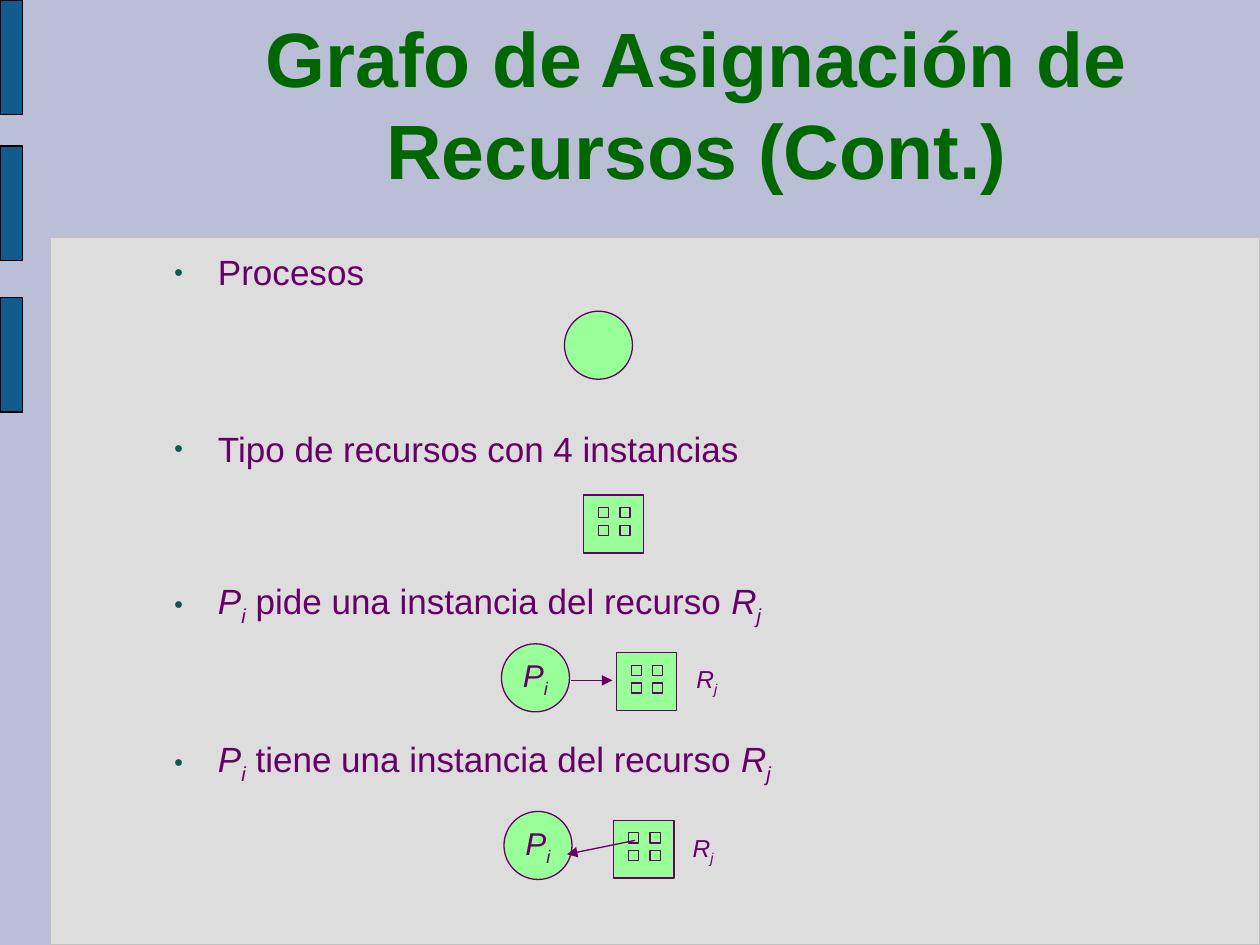
from dataclasses import dataclass

from lxml import etree
from pptx import Presentation
from pptx import util as u
from pptx.dml.color import RGBColor
from pptx.enum import shapes, text
from pptx.oxml.ns import qn


@dataclass(frozen=True)
class Theme:
    font: str = "Arial"
    background: str = "BABED6"
    panel: str = "DDDDDD"
    panel_line: str = "C0C0C0"
    bar: str = "125C8D"
    bar_line: str = "000000"
    title: str = "006600"
    ink: str = "660066"
    node: str = "99FF99"
    bullet: str = "0E594D"
    line: float = 0.75
    title_size: int = 44
    body_size: int = 20
    node_size: int = 18
    label_size: int = 14


THEME = Theme()
COLUMNS = 100
ROWS = 75
UNIT = u.Inches(10) // COLUMNS

PROCESS = (("P", "italic"), ("i", "sub"))
RESOURCE = (("R", "italic"), ("j", "sub"))
BULLETS = (
    (0, (("Procesos", "plain"),)),
    (77, (("Tipo de recursos con 4 instancias", "plain"),)),
    (63, PROCESS + ((" pide una instancia del recurso ", "plain"),) + RESOURCE),
    (63, PROCESS + ((" tiene una instancia del recurso ", "plain"),) + RESOURCE),
)


def grid(*units):
    return [round(value * UNIT) for value in units]


def color(value):
    return RGBColor.from_string(value)


def place(shape, *box):
    shape.left, shape.top, shape.width, shape.height = grid(*box)


def add_runs(paragraph, parts, size, ink=THEME.ink, bold=False):
    for content, style in parts:
        run = paragraph.add_run()
        run.text = content
        run.font.name = THEME.font
        run.font.size = u.Pt(size)
        run.font.bold = bold
        run.font.italic = style != "plain"
        run.font.color.rgb = color(ink)
        if style == "sub":
            run.font._element.set("baseline", "-25000")


def add_bullet(paragraph):
    properties = paragraph._p.get_or_add_pPr()
    properties.set("marL", str(u.Inches(0.47)))
    properties.set("indent", str(u.Inches(-0.35)))
    bullet_color = etree.SubElement(properties, qn("a:buClr"))
    etree.SubElement(bullet_color, qn("a:srgbClr"), val=THEME.bullet)
    etree.SubElement(properties, qn("a:buSzPct"), val="45000")
    etree.SubElement(properties, qn("a:buChar"), char="●")


def add_box(parent, kind, box, fill=THEME.node, line=THEME.ink):
    shape = parent.add_shape(kind, *grid(*box))
    shape.shadow.inherit = False
    shape.fill.solid()
    shape.fill.fore_color.rgb = color(fill)
    shape.line.color.rgb = color(line)
    shape.line.width = u.Pt(THEME.line)
    return shape


def center_text(shape, parts, size):
    frame = shape.text_frame
    frame.word_wrap = False
    frame.margin_left = frame.margin_right = 0
    frame.vertical_anchor = text.MSO_ANCHOR.MIDDLE
    paragraph = frame.paragraphs[0]
    paragraph.alignment = text.PP_ALIGN.CENTER
    add_runs(paragraph, parts, size)


def add_process(slide, left, top, parts=()):
    shape = add_box(slide.shapes, shapes.MSO_SHAPE.OVAL, (left, top, 5.4, 5.4))
    if parts:
        center_text(shape, parts, THEME.node_size)


def add_resource(slide, left, top):
    members = slide.shapes.add_group_shape().shapes
    rectangle = shapes.MSO_SHAPE.RECTANGLE
    add_box(members, rectangle, (left, top, 4.8, 4.6))
    for row in range(2):
        for column in range(2):
            add_box(members, rectangle,
                    (left + 1.2 + 1.7 * column, top + 1 + 1.4 * row, 0.8, 0.8))


def add_label(slide, left, top, parts):
    label = slide.shapes.add_textbox(*grid(left, top, 3.6, 3.7))
    center_text(label, parts, THEME.label_size)


def add_arrow(slide, start, end):
    arrow = slide.shapes.add_connector(
        shapes.MSO_CONNECTOR.STRAIGHT, *grid(*start, *end))
    arrow.line.color.rgb = color(THEME.ink)
    arrow.line.width = u.Pt(THEME.line)
    etree.SubElement(arrow.line._get_or_add_ln(), qn("a:tailEnd"), type="triangle")
    etree.SubElement(arrow._element.spPr, qn("a:effectLst"))


def add_backdrop(slide):
    slide.background.fill.solid()
    slide.background.fill.fore_color.rgb = color(THEME.background)
    rectangle = shapes.MSO_SHAPE.RECTANGLE
    add_box(slide.shapes, rectangle, (4, 18.8, 96, 56.2),
            THEME.panel, THEME.panel_line)
    for top in (0, 11.6, 23.6):
        add_box(slide.shapes, rectangle, (0, top, 1.8, 9.1),
                THEME.bar, THEME.bar_line)


def bring_to_front(slide, shape):
    slide.shapes._spTree.append(shape._element)


def fill_title(slide):
    title = slide.shapes.title
    bring_to_front(slide, title)
    place(title, 12.8, 0.3, 85, 15.7)
    frame = title.text_frame
    frame.auto_size = text.MSO_AUTO_SIZE.NONE
    frame.vertical_anchor = text.MSO_ANCHOR.MIDDLE
    frame.paragraphs[0].alignment = text.PP_ALIGN.CENTER
    add_runs(frame.paragraphs[0],
             (("Grafo de Asignación de Recursos (Cont.)", "plain"),),
             THEME.title_size, THEME.title, bold=True)


def fill_body(slide):
    body = slide.placeholders[1]
    bring_to_front(slide, body)
    place(body, 11.6, 19.4, 76.9, 51.5)
    frame = body.text_frame
    frame.auto_size = text.MSO_AUTO_SIZE.NONE
    for index, (gap, parts) in enumerate(BULLETS):
        paragraph = frame.add_paragraph() if index else frame.paragraphs[0]
        add_bullet(paragraph)
        paragraph.space_before = u.Pt(gap)
        add_runs(paragraph, parts, THEME.body_size)


def main():
    presentation = Presentation()
    presentation.slide_width, presentation.slide_height = grid(COLUMNS, ROWS)
    slide = presentation.slides.add_slide(presentation.slide_layouts[1])
    add_backdrop(slide)
    fill_title(slide)
    fill_body(slide)

    add_process(slide, 44.8, 24.7)
    add_resource(slide, 46.3, 39.3)

    add_process(slide, 39.8, 51.1, PROCESS)
    add_resource(slide, 48.9, 51.8)
    add_arrow(slide, (45.3, 54), (48.6, 54))
    add_label(slide, 54.3, 52.2, RESOURCE)

    add_process(slide, 40, 64.4, PROCESS)
    add_resource(slide, 48.7, 65.1)
    add_arrow(slide, (50.4, 66.7), (45, 67.8))
    add_label(slide, 54, 65.6, RESOURCE)

    presentation.save("out.pptx")


if __name__ == "__main__":
    main()
